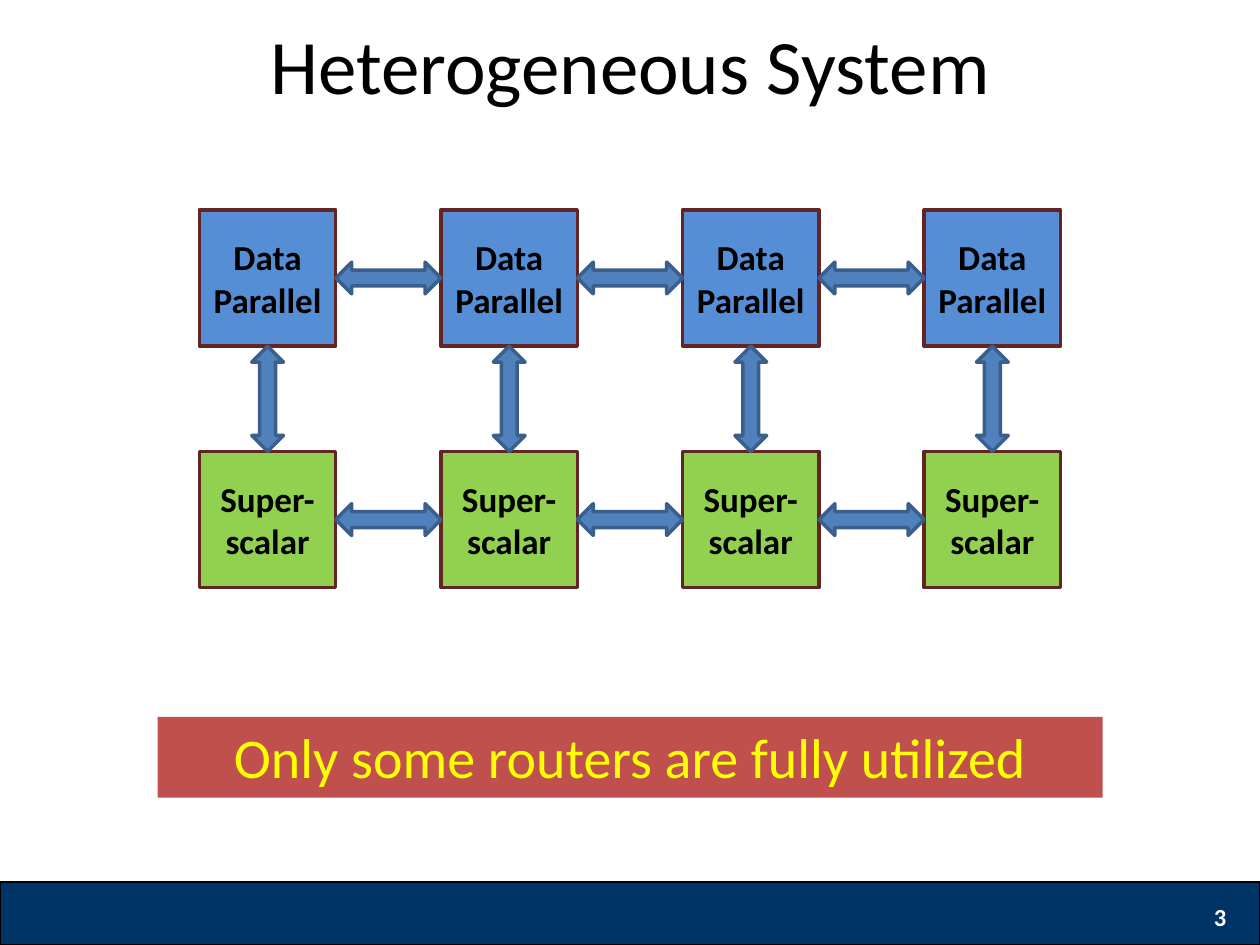
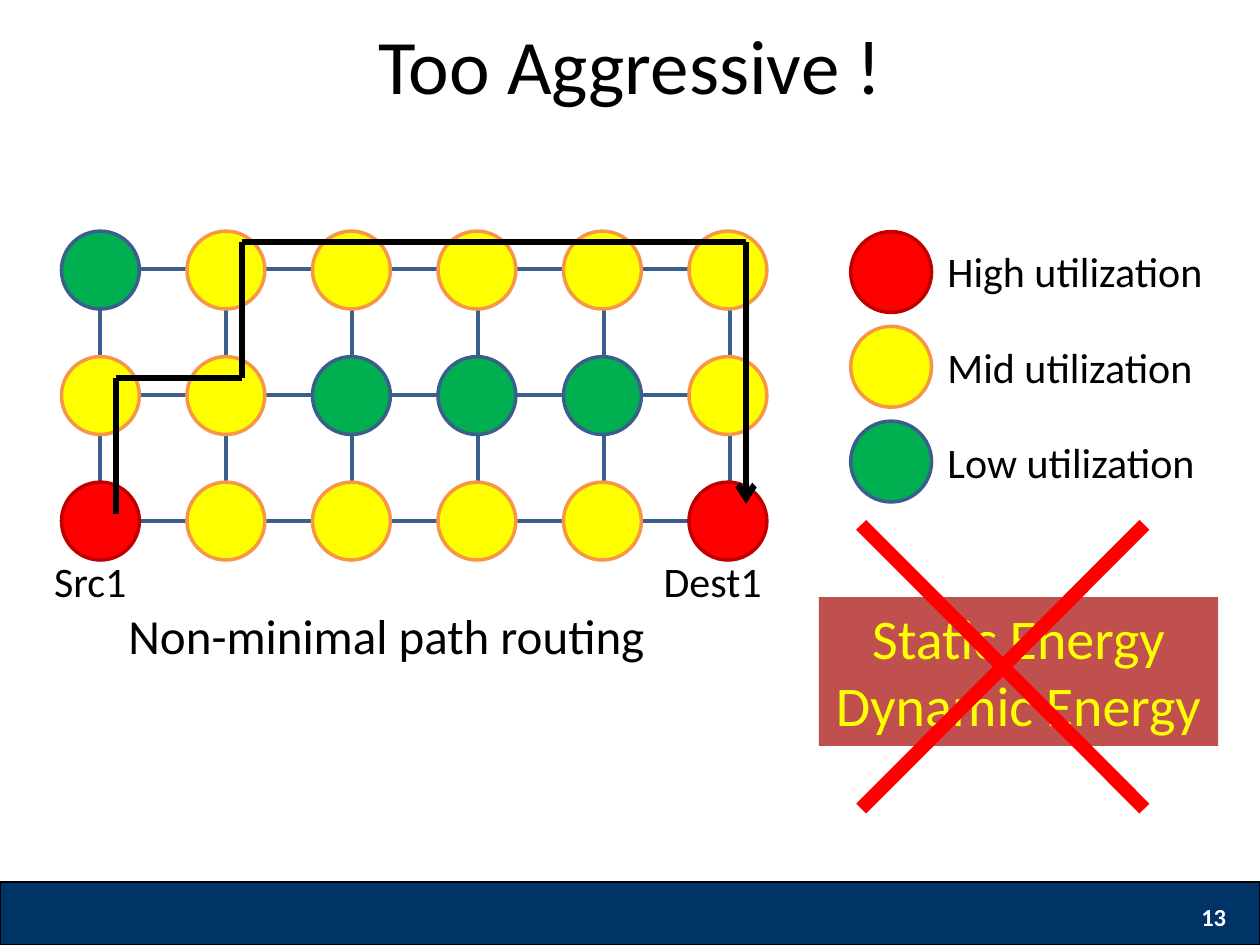
from itertools import pairwise, product

from lxml.etree import SubElement
from pptx import Presentation
from pptx.dml.color import RGBColor
from pptx.enum.shapes import MSO_CONNECTOR, MSO_SHAPE
from pptx.enum.text import MSO_ANCHOR, MSO_AUTO_SIZE, PP_ALIGN
from pptx.oxml.ns import qn
from pptx.util import Cm, Pt

COLORS = {
    "black": "000000", "white": "FFFFFF", "navy": "003366",
    "blue": "558ED5", "lime": "92D050", "maroon": "632523",
    "arrow": "4F81BD", "steel": "3A5F8C", "brick": "C0504D",
    "yellow": "FFFF00", "orange": "F79646", "green": "00B050",
    "red": "FF0000", "crimson": "C00000",
}
LEVELS = {
    "H": ("red", "crimson"),
    "M": ("yellow", "orange"),
    "L": ("green", "steel"),
}


def rgb(name):
    return RGBColor.from_string(COLORS[name])


class Deck:
    font = "Calibri"

    def __init__(self):
        self.prs = Presentation()
        self.prs.slide_width, self.prs.slide_height = Cm(25.4), Cm(19.05)
        self.s = None

    def slide(self, title, number):
        self.s = self.prs.slides.add_slide(self.prs.slide_layouts[5])
        sp = self.s.shapes.title
        place = {"left": 0.64, "top": 0.43, "width": 24.13, "height": 1.7}
        for name, value in place.items():
            setattr(sp, name, Cm(value))
        self.set_text(sp, title, 44, align=PP_ALIGN.CENTER, anchor=MSO_ANCHOR.MIDDLE)
        self.shape(MSO_SHAPE.RECTANGLE, 0, 17.78, 25.4, 1.27, "navy", "black", 0.75)
        self.label(number, 19.05, 17.98, 5.92, 1.02, 14, color="white", bold=True,
                   align=PP_ALIGN.RIGHT, anchor=MSO_ANCHOR.MIDDLE)

    def set_text(self, sp, text, size, color="black", bold=False,
                 align=PP_ALIGN.LEFT, anchor=MSO_ANCHOR.TOP, margin=0.25):
        tf = sp.text_frame
        frame = {"word_wrap": True, "auto_size": MSO_AUTO_SIZE.NONE,
                 "vertical_anchor": anchor,
                 "margin_left": Cm(margin), "margin_right": Cm(margin)}
        for name, value in frame.items():
            setattr(tf, name, value)
        fmt = {"name": self.font, "size": Pt(size), "bold": bold}
        for i, line in enumerate(text.split("\n")):
            p = tf.add_paragraph() if i else tf.paragraphs[0]
            p.alignment = align
            r = p.add_run()
            r.text = line
            r.font.color.rgb = rgb(color)
            for name, value in fmt.items():
                setattr(r.font, name, value)

    def label(self, text, x, y, w, h, size, **style):
        sp = self.s.shapes.add_textbox(Cm(x), Cm(y), Cm(w), Cm(h))
        self.set_text(sp, text, size, **style)

    def shape(self, kind, x, y, w, h, fill=None, line=None, width=2):
        sp = self.s.shapes.add_shape(kind, Cm(x), Cm(y), Cm(w), Cm(h))
        sp.shadow.inherit = False
        for part, color in ((sp.fill, fill), (sp.line.fill, line)):
            if color:
                part.solid()
                part.fore_color.rgb = rgb(color)
            else:
                part.background()
        if line:
            sp.line.width = Pt(width)
        return sp

    def box(self, text, x, y, side, fill):
        sp = self.shape(MSO_SHAPE.RECTANGLE, x, y, side, side, fill, "maroon")
        self.set_text(sp, text, 20, bold=True, align=PP_ALIGN.CENTER,
                      anchor=MSO_ANCHOR.MIDDLE, margin=0.1)

    def link(self, cx, cy, length, rotation=0):
        h = 0.64
        sp = self.shape(MSO_SHAPE.LEFT_RIGHT_ARROW, cx - length / 2, cy - h / 2,
                        length, h, "arrow", "steel")
        sp.rotation = rotation

    def node(self, level, x, y, size):
        self.shape(MSO_SHAPE.OVAL, x, y, size, size, *LEVELS[level])

    def banner(self, text, x, y, w, h):
        sp = self.shape(MSO_SHAPE.RECTANGLE, x, y, w, h, "brick")
        self.set_text(sp, text, 32, color="yellow", align=PP_ALIGN.CENTER)

    def line(self, start, end, color, width, arrow=False):
        c = self.s.shapes.add_connector(MSO_CONNECTOR.STRAIGHT,
                                        *map(Cm, start), *map(Cm, end))
        c.line.color.rgb = rgb(color)
        c.line.width = Pt(width)
        props = c.element.spPr
        if arrow:
            SubElement(props.find(qn("a:ln")), qn("a:tailEnd"), type="arrow")
        SubElement(props, qn("a:effectLst"))


def heterogeneous_system(deck):
    deck.slide("Heterogeneous System", "3")
    left, top, side, pitch = 4.02, 4.23, 2.75, 4.87
    gap = pitch - side
    cores = (("Data\nParallel", "blue"), ("Super-scalar", "lime"))
    for (row, (text, fill)), col in product(enumerate(cores), range(4)):
        deck.box(text, left + col * pitch, top + row * pitch, side, fill)
    mid_x, mid_y = left + side / 2, top + side / 2
    for row, col in product(range(2), range(3)):
        deck.link(mid_x + (col + 0.5) * pitch, mid_y + row * pitch, gap)
    for col in range(4):
        deck.link(mid_x + col * pitch, mid_y + pitch / 2, gap, 90)
    deck.banner("Only some routers are fully utilized", 3.18, 14.45, 19.05, 1.63)


def too_aggressive(deck):
    deck.slide("Too Aggressive !", "13")
    cell = 2.54
    for row, col in product(range(2), range(5)):
        deck.shape(MSO_SHAPE.RECTANGLE, 2.02 + col * cell, 5.42 + row * cell,
                   cell, cell, line="steel")
    for row, levels in enumerate(("LMMMMM", "MMLLLM", "HMMMMH")):
        for col, level in enumerate(levels):
            deck.node(level, 1.24 + col * 2.53, 4.66 + row * 2.53, 1.57)
    deck.label("Src1", 0.84, 11.07, 2.36, 1.27, 24)
    deck.label("Dest1", 13.13, 11.07, 2.97, 1.27, 24)
    deck.label("Non-minimal path routing", 2.34, 12.09, 13.34, 1.45, 28)

    route = [(2.34, 10.36), (2.34, 7.62), (4.88, 7.62),
             (4.88, 4.88), (15.04, 4.88), (15.04, 10.16)]
    for start, end in pairwise(route):
        deck.line(start, end, "black", 3.5, arrow=end == route[-1])

    legend = {"H": "High utilization", "M": "Mid utilization", "L": "Low utilization"}
    for i, (level, text) in enumerate(legend.items()):
        deck.node(level, 17.15, 4.67 + i * 1.91, 1.63)
        deck.label(text, 18.85, 4.83 + i * 1.92, 6.15, 1.27, 24)

    deck.banner("Static Energy\nDynamic Energy", 16.51, 12.04, 8.05, 3)
    left, right, top, bottom = 17.36, 23.07, 10.58, 16.3
    deck.line((left, top), (right, bottom), "red", 8)
    deck.line((left, bottom), (right, top), "red", 8)


def main():
    deck = Deck()
    heterogeneous_system(deck)
    too_aggressive(deck)
    deck.prs.save("out.pptx")


if __name__ == "__main__":
    main()
